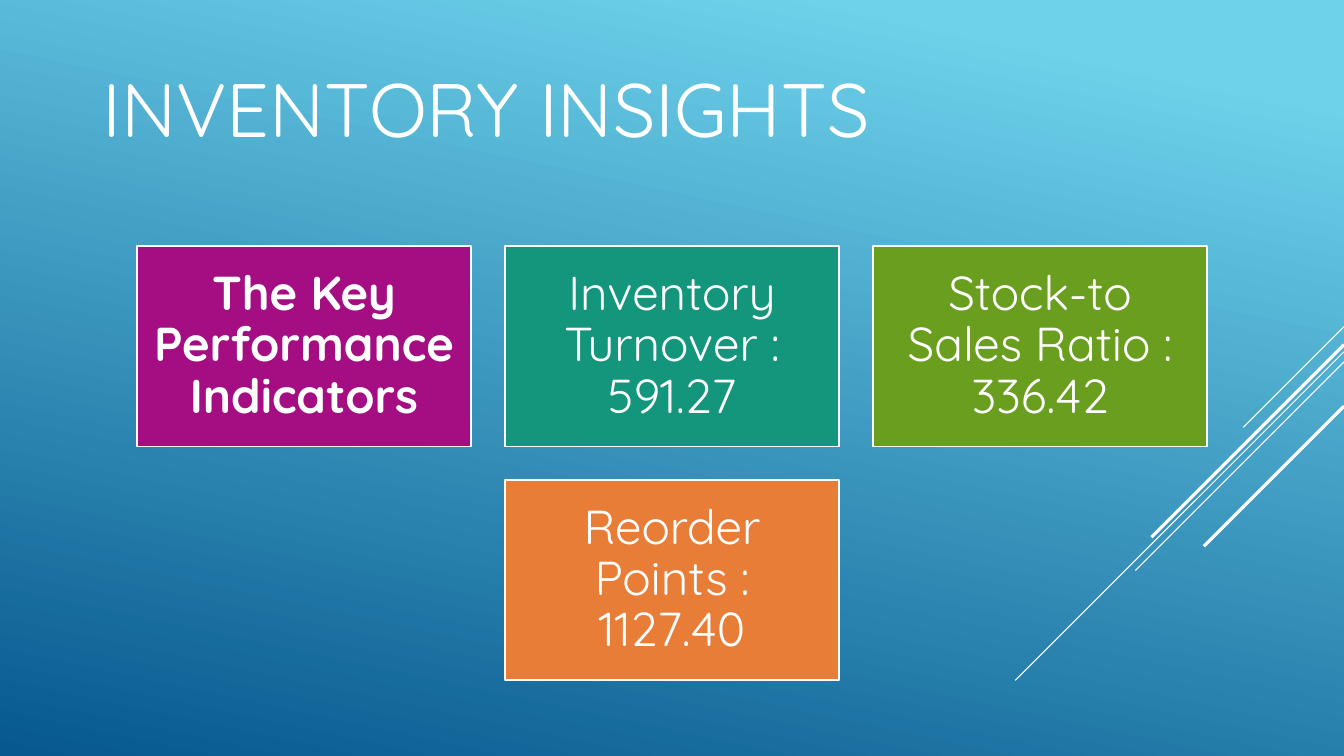
from collections import namedtuple

from lxml.etree import SubElement
from pptx import Presentation
from pptx.dml.color import RGBColor
from pptx.enum.shapes import MSO_CONNECTOR, MSO_SHAPE
from pptx.enum.text import MSO_ANCHOR, PP_ALIGN
from pptx.oxml.ns import qn
from pptx.util import Inches, Pt

# Content: rows of cards as (text, fill, bold)
TITLE = "INVENTORY INSIGHTS"
CARD_ROWS = [
    [
        ("The Key Performance Indicators", "A50E82", True),
        ("Inventory Turnover : 591.27", "14967C", False),
        ("Stock-to Sales Ratio : 336.42", "6A9E1F", False),
    ],
    [("Reorder Points : 1127.40", "E87D37", False)],
]
# Diagonal accents: (height at the right edge, run to the left, weight)
ACCENTS = [
    (3.24, 1.0, 0.75),
    (3.49, 3.26, 0.75),
    (3.59, 2.07, 0.75),
    (3.42, 1.91, 2.25),
    (4.03, 1.39, 2.25),
]

Theme = namedtuple("Theme", "font white sky deep title_size card_size border")
THEME = Theme("Quicksand", "FFFFFF", "6ED2EB", "06588E", 54, 34, 1.25)

# Grid, in inches
SLIDE_W, SLIDE_H = 13.33, 7.5
CARD_W, CARD_H, GAP = 3.32, 1.99, 0.33
CARDS_TOP = 2.44


def rgb(value):
    return RGBColor.from_string(value)


def set_text(shape, text, size, align, bold=False, inset=None):
    tf = shape.text_frame
    tf.word_wrap = True
    tf.vertical_anchor = MSO_ANCHOR.MIDDLE
    if inset is not None:
        tf.margin_left = tf.margin_right = Inches(inset)
        tf.margin_top = tf.margin_bottom = Inches(inset)
    p = tf.paragraphs[0]
    p.text = text
    p.alignment = align
    p.line_spacing = 0.9
    p.font.name = THEME.font
    p.font.size = Pt(size)
    p.font.bold = bold
    p.font.color.rgb = rgb(THEME.white)


def paint_background(s):
    fill = s.background.fill
    fill.gradient()
    fill.gradient_angle = 360 - 102
    stops = ((0.1, THEME.sky), (1.0, THEME.deep))
    for stop, (position, color) in zip(fill.gradient_stops, stops):
        stop.position = position
        stop.color.rgb = rgb(color)


def add_accent(s, top, run, weight):
    line = s.shapes.add_connector(
        MSO_CONNECTOR.STRAIGHT,
        Inches(SLIDE_W), Inches(top), Inches(SLIDE_W - run), Inches(top + run),
    )
    line.line.color.rgb = rgb(THEME.white)
    line.line.width = Pt(weight)
    SubElement(line._element.spPr, qn("a:effectLst"))


def add_card(s, left, top, text, color, bold):
    sp = s.shapes.add_shape(
        MSO_SHAPE.RECTANGLE, Inches(left), Inches(top), Inches(CARD_W), Inches(CARD_H)
    )
    sp.shadow.inherit = False
    sp.fill.solid()
    sp.fill.fore_color.rgb = rgb(color)
    sp.line.color.rgb = rgb(THEME.white)
    sp.line.width = Pt(THEME.border)
    set_text(sp, text, THEME.card_size, PP_ALIGN.CENTER, bold, inset=0.14)


def main():
    prs = Presentation()
    prs.slide_width, prs.slide_height = Inches(SLIDE_W), Inches(SLIDE_H)
    s = prs.slides.add_slide(prs.slide_layouts[6])
    paint_background(s)

    # Diagonal accents
    for accent in ACCENTS:
        add_accent(s, *accent)

    # Title
    title = s.shapes.add_textbox(Inches(0.92), Inches(0.4), Inches(11.5), Inches(1.45))
    set_text(title, TITLE, THEME.title_size, PP_ALIGN.LEFT)

    # Cards, each row centred on the slide
    for row, cards in enumerate(CARD_ROWS):
        row_w = len(cards) * (CARD_W + GAP) - GAP
        top = CARDS_TOP + row * (CARD_H + GAP)
        for col, card in enumerate(cards):
            left = (SLIDE_W - row_w) / 2 + col * (CARD_W + GAP)
            add_card(s, left, top, *card)

    prs.save("out.pptx")


if __name__ == "__main__":
    main()
